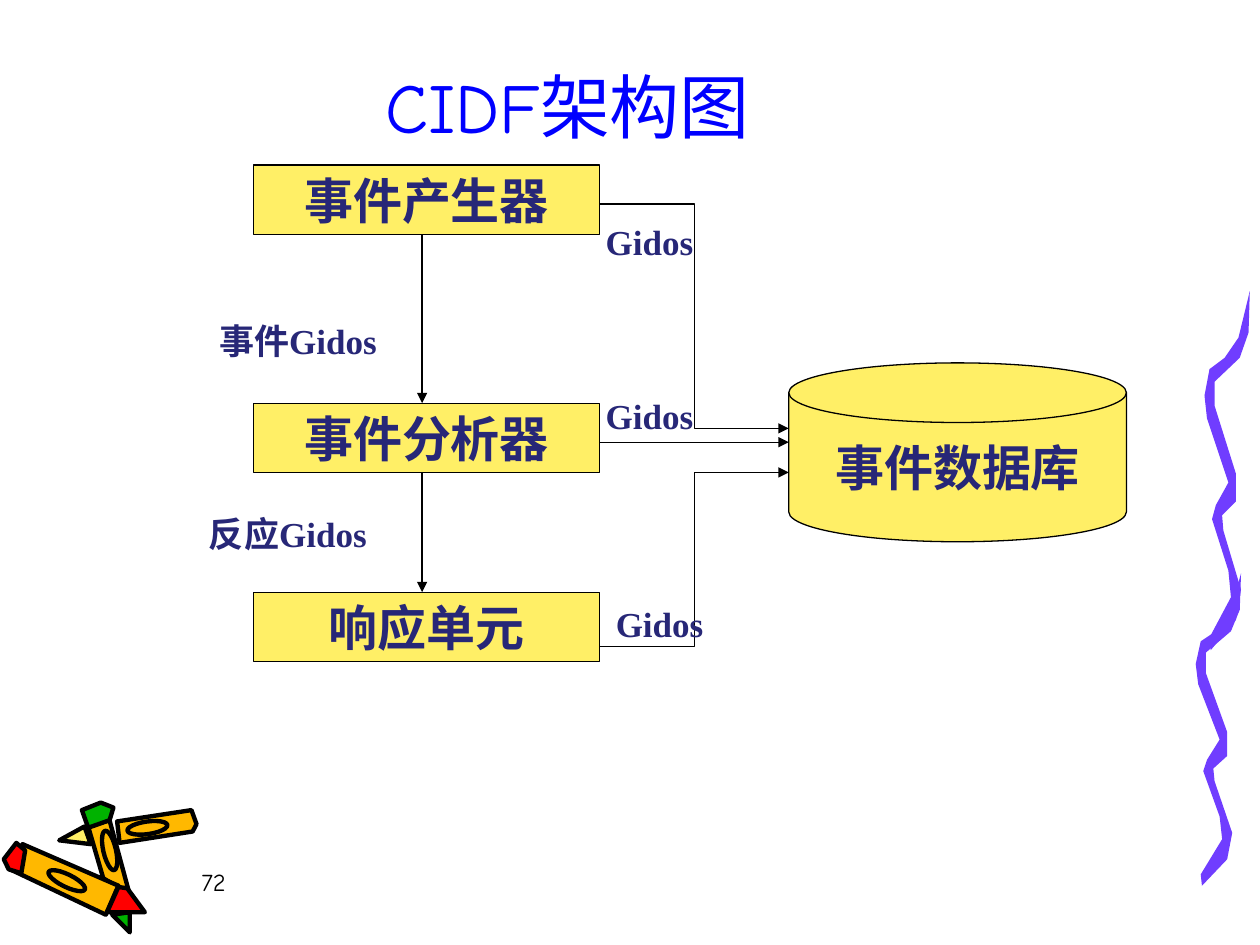
import itertools
from dataclasses import dataclass

import pptx
import pptx.dml.color
import pptx.enum.shapes
import pptx.enum.text
import pptx.oxml.ns
import pptx.util
from lxml import etree

SHAPE = pptx.enum.shapes.MSO_SHAPE
LINK = pptx.enum.shapes.MSO_CONNECTOR
ALIGN = pptx.enum.text.PP_ALIGN
ANCHOR = pptx.enum.text.MSO_ANCHOR
Inches, Pt = pptx.util.Inches, pptx.util.Pt


@dataclass(frozen=True)
class Theme:
    title_font: str = "Comic Neue"
    body_font: str = "Times New Roman"
    title_size: int = 40
    box_size: int = 28
    label_size: int = 20
    number_size: int = 14
    title: str = "0000FF"
    ink: str = "272777"
    black: str = "000000"
    box: str = "FFEF66"
    ribbon: str = "703DFF"
    red: str = "FF0000"
    orange: str = "FFB800"
    green: str = "00B200"
    line_width: float = 0.75
    crayon_line: float = 2.5


THEME = Theme()

# Content
TITLE = "CIDF架构图"
PAGE_NUMBER = "72"
STAGES = [("事件产生器", 1.31), ("事件分析器", 3.2), ("响应单元", 4.7)]  # text, top
DATABASE = "事件数据库"
WIDE, NARROW, LABEL_HEIGHT = 1.81, 0.95, 0.44
LABELS = [  # text, left, top, width
    ("事件Gidos", 1.46, 2.49, WIDE),
    ("反应Gidos", 1.38, 4.02, WIDE),
    ("Gidos", 4.68, 1.7, NARROW),
    ("Gidos", 4.68, 3.08, NARROW),
    ("Gidos", 4.76, 4.73, NARROW),
]

# Diagram grid, in inches
STAGE_LEFT, STAGE_WIDTH, STAGE_HEIGHT = 2.01, 2.75, 0.55
STAGE_RIGHT = STAGE_LEFT + STAGE_WIDTH
FLOW_X = 3.35
DB_LEFT, DB_TOP, DB_WIDTH, DB_HEIGHT = 6.26, 2.88, 2.68, 1.42
DB_FEEDS = [  # connector, height at the stage, height at the database
    (LINK.ELBOW, 1.62, 3.4),
    (LINK.ELBOW, 5.13, 3.75),
    (LINK.STRAIGHT, 3.51, 3.51),
]

# Crayons, back to front, in hundredths of an inch: colour, outline
CRAYON_PARTS = [
    (THEME.box, [(67, 656), (47, 667), (72, 670)]),
    (THEME.orange, [(93, 652), (152, 643), (156, 654), (153, 660), (95, 669)]),
    (THEME.orange, [(70, 656), (87, 651), (103, 710), (82, 697)]),
    (THEME.green, [(65, 643), (80, 637), (90, 641), (87, 651), (70, 657)]),
    (THEME.green, [(89, 726), (103, 724), (103, 740)]),
    (THEME.orange, [(18, 670), (94, 703), (84, 726), (8, 690)]),
    (THEME.red, [(13, 669), (20, 675), (17, 693), (7, 690), (3, 682)]),
    (THEME.red, [(94, 704), (101, 705), (115, 724), (85, 724)]),
]
CRAYON_RINGS = [(53, 699, 26), (87, 675, 77), (117, 657, -8)]  # centre x, y, turn
RING_WIDTH, RING_HEIGHT = 0.32, 0.1

# One wavy outline, placed twice with its own stretch
WAVE = [(4, 239), (21, 211), (19, 193), (6, 157), (9, 148), (19, 132), (2, 88), (0, 72),
        (4, 54), (16, 46), (27, 32), (36, 0), (35, 29), (28, 46), (8, 63), (8, 79),
        (25, 126), (25, 145), (14, 155), (15, 165), (29, 206), (25, 227), (5, 248)]
RIBBONS = [(949, 455, 1), (956, 231, 1.15)]  # left, top, vertical stretch


def rgb(value):
    return pptx.dml.color.RGBColor.from_string(value)


def write(shape, text, size, color, font, bold=False, align=ALIGN.CENTER):
    paragraph = shape.text_frame.paragraphs[0]
    paragraph.text = text
    paragraph.alignment = align
    paragraph.font.name, paragraph.font.size = font, Pt(size)
    paragraph.font.bold, paragraph.font.color.rgb = bold, rgb(color)


def paint(shape, fill, line_width=None):
    shape.shadow.inherit = False
    shape.fill.solid()
    shape.fill.fore_color.rgb = rgb(fill)
    if line_width is None:
        shape.line.fill.background()
    else:
        shape.line.color.rgb = rgb(THEME.black)
        shape.line.width = Pt(line_width)


def add_text(slide, text, left, top, width, height, *style, **options):
    area = slide.shapes.add_textbox(*map(Inches, (left, top, width, height)))
    area.text_frame.word_wrap = True
    write(area, text, *style, **options)


def add_node(slide, kind, text, left, top, width, height):
    node = slide.shapes.add_shape(kind, *map(Inches, (left, top, width, height)))
    paint(node, THEME.box, THEME.line_width)
    node.text_frame.word_wrap = False
    node.text_frame.vertical_anchor = ANCHOR.MIDDLE
    write(node, text, THEME.box_size, THEME.ink, THEME.body_font, bold=True)


def add_arrow(slide, kind, *ends):
    arrow = slide.shapes.add_connector(kind, *map(Inches, ends))
    arrow.line.color.rgb = rgb(THEME.black)
    arrow.line.width = Pt(THEME.line_width)
    qn = pptx.oxml.ns.qn
    properties = arrow._element.spPr
    etree.SubElement(properties.find(qn("a:ln")), qn("a:tailEnd"), type="triangle")
    etree.SubElement(properties, qn("a:effectLst"))


def add_outline(shapes, points, fill, line_width=None):
    builder = shapes.build_freeform(*points[0], scale=Inches(0.01))
    builder.add_line_segments(points[1:], close=True)
    paint(builder.convert_to_shape(), fill, line_width)


def add_crayons(slide):
    crayons = slide.shapes.add_group_shape().shapes
    for color, points in CRAYON_PARTS:
        add_outline(crayons, points, color, THEME.crayon_line)
    for x, y, turn in CRAYON_RINGS:
        ring = crayons.add_shape(
            SHAPE.OVAL, Inches(x / 100 - RING_WIDTH / 2), Inches(y / 100 - RING_HEIGHT / 2),
            Inches(RING_WIDTH), Inches(RING_HEIGHT))
        ring.rotation = turn
        paint(ring, THEME.orange, THEME.crayon_line)


def add_ribbons(slide):
    ribbons = slide.shapes.add_group_shape().shapes
    for left, top, stretch in RIBBONS:
        points = [(left + x, round(top + y * stretch)) for x, y in WAVE]
        add_outline(ribbons, points, THEME.ribbon)


def main():
    deck = pptx.Presentation()
    deck.slide_width, deck.slide_height = Inches(10), Inches(7.5)
    slide = deck.slides.add_slide(deck.slide_layouts[5])

    # Decoration and page number
    add_crayons(slide)
    add_ribbons(slide)
    add_text(slide, PAGE_NUMBER, 1.5, 6.83, 2.08, 0.5, THEME.number_size, THEME.black,
             THEME.title_font, align=ALIGN.LEFT)

    # Title
    title = slide.shapes.title
    title.left, title.top, title.width, title.height = map(Inches, (0.75, 0.32, 7.51, 0.9))
    title.text_frame.vertical_anchor = ANCHOR.BOTTOM
    write(title, TITLE, THEME.title_size, THEME.title, THEME.title_font)

    # Stages and database
    for text, top in STAGES:
        add_node(slide, SHAPE.RECTANGLE, text, STAGE_LEFT, top, STAGE_WIDTH, STAGE_HEIGHT)
    add_node(slide, SHAPE.FLOWCHART_MAGNETIC_DISK, DATABASE, DB_LEFT, DB_TOP, DB_WIDTH, DB_HEIGHT)

    # Arrows between stages and into the database
    for (_, upper), (_, lower) in itertools.pairwise(STAGES):
        add_arrow(slide, LINK.STRAIGHT, FLOW_X, upper + STAGE_HEIGHT, FLOW_X, lower)
    for kind, start_y, end_y in DB_FEEDS:
        add_arrow(slide, kind, STAGE_RIGHT, start_y, DB_LEFT, end_y)

    # Arrow labels
    for text, left, top, width in LABELS:
        add_text(slide, text, left, top, width, LABEL_HEIGHT, THEME.label_size, THEME.ink,
                 THEME.body_font, bold=True)

    deck.save("out.pptx")


if __name__ == "__main__":
    main()
